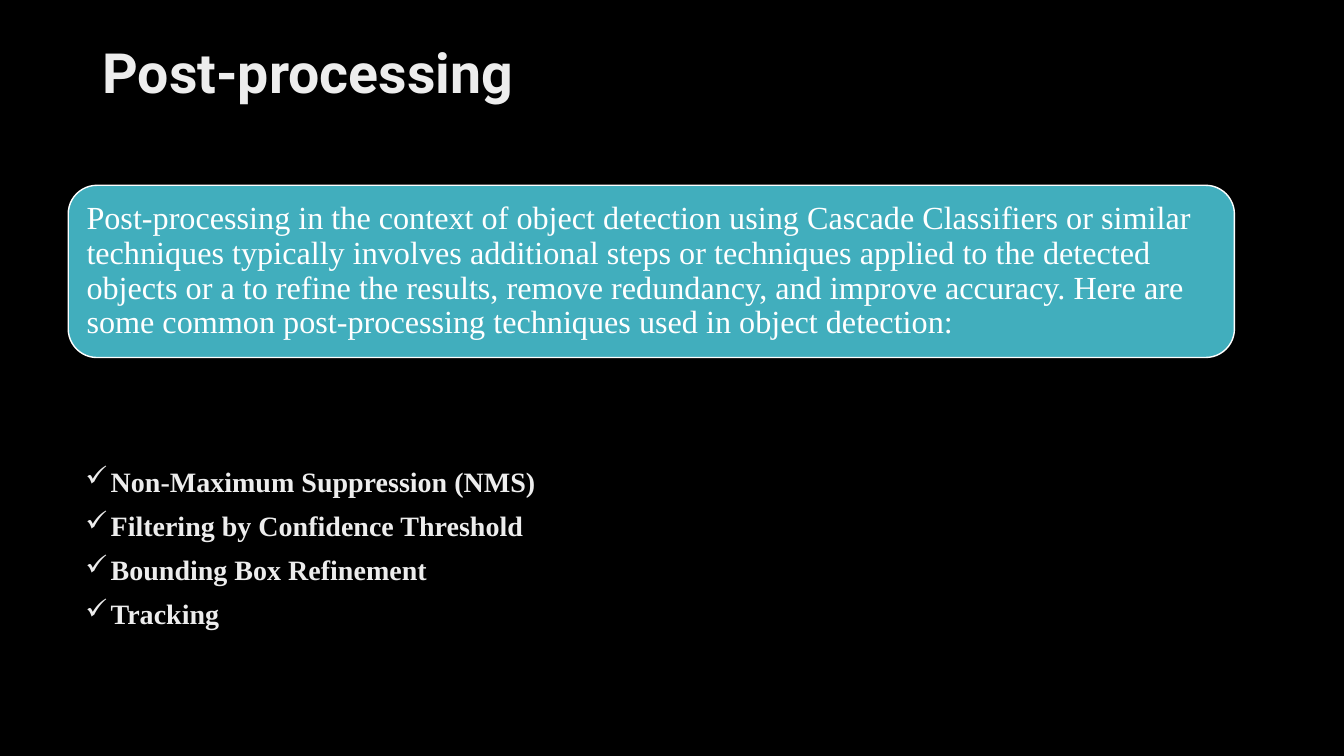
"""Build the post-processing slide: title, introduction panel and checklist."""
from lxml import etree
from pptx import Presentation
from pptx.dml.color import RGBColor
from pptx.enum.shapes import MSO_SHAPE
from pptx.enum.text import MSO_ANCHOR, PP_ALIGN
from pptx.oxml.ns import qn
from pptx.util import Cm, Pt

ROUNDED = MSO_SHAPE.ROUNDED_RECTANGLE
TOP, MIDDLE = MSO_ANCHOR.TOP, MSO_ANCHOR.MIDDLE
LEFT = PP_ALIGN.LEFT
COLORS = {"background": "000000", "heading": "EDEDED", "panel": "41AEBD", "white": "FFFFFF"}
SERIF = "Times New Roman"


def write(frame, lines, size, color, font=SERIF, bold=False, anchor=TOP, before=0, bullet=None):
    frame.word_wrap = True
    frame.vertical_anchor = anchor
    frame.text = "\n".join(lines)
    for paragraph in frame.paragraphs:
        paragraph.alignment = LEFT
        paragraph.line_spacing = 0.9
        paragraph.space_before = Pt(before)
        run_font = paragraph.runs[0].font
        run_font.name = font
        run_font.size = Pt(size)
        run_font.bold = bold
        run_font.color.rgb = RGBColor.from_string(COLORS[color])
        if bullet:
            properties = paragraph._p.get_or_add_pPr()
            properties.set("marL", str(Cm(0.64)))
            properties.set("indent", str(-Cm(0.64)))
            etree.SubElement(properties, qn("a:buChar")).set("char", bullet)


deck = Presentation()
deck.slide_width, deck.slide_height = Cm(33.87), Cm(19.05)
slide = deck.slides.add_slide(deck.slide_layouts[5])
slide.background.fill.solid()
slide.background.fill.fore_color.rgb = RGBColor.from_string(COLORS["background"])

title = slide.shapes.title
title.left, title.top, title.width, title.height = Cm(2.33), Cm(1.01), Cm(29.21), Cm(3.68)
write(title.text_frame, ["Post-processing"], 39.6, "heading", font="Roboto", bold=True)

techniques = slide.shapes.add_textbox(Cm(1.9), Cm(10.06), Cm(29.62), Cm(8.51))
techniques.text_frame.margin_top = Cm(1.73)
write(
    techniques.text_frame,
    [
        "Non-Maximum Suppression (NMS)",
        "Filtering by Confidence Threshold",
        "Bounding Box Refinement",
        "Tracking",
    ],
    20, "heading", bold=True, before=10, bullet="✓",
)

introduction = slide.shapes.add_shape(ROUNDED, Cm(1.72), Cm(4.67), Cm(29.39), Cm(4.34))
introduction.shadow.inherit = False
introduction.fill.solid()
introduction.fill.fore_color.rgb = RGBColor.from_string(COLORS["panel"])
introduction.line.color.rgb = RGBColor.from_string(COLORS["white"])
introduction.line.width = Pt(1)
write(
    introduction.text_frame,
    [
        "Post-processing in the context of object detection using Cascade Classifiers "
        "or similar techniques typically involves additional steps or techniques applied "
        "to the detected objects or a to refine the results, remove redundancy, and "
        "improve accuracy. Here are some common post-processing techniques used in "
        "object detection:"
    ],
    23, "white", anchor=MIDDLE,
)

deck.save("out.pptx")
